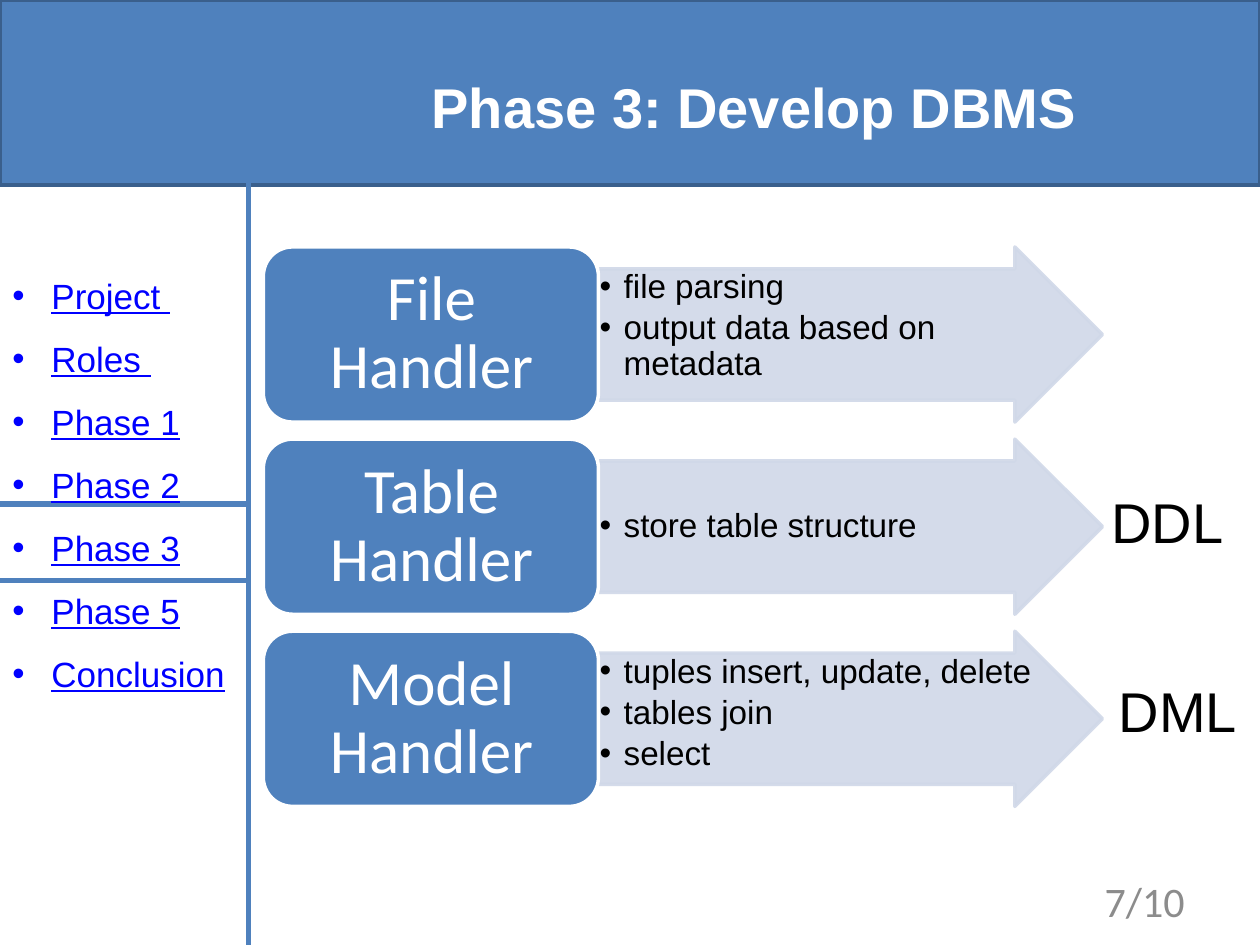
from dataclasses import dataclass

from lxml.etree import SubElement
from pptx import Presentation
from pptx.dml.color import RGBColor
from pptx.enum.shapes import MSO_CONNECTOR as Connector, MSO_SHAPE as Preset
from pptx.enum.text import MSO_ANCHOR as Anchor, PP_ALIGN as Align
from pptx.oxml.ns import qn
from pptx.util import Inches, Pt

BLUE = RGBColor(0x4F, 0x81, 0xBD)
DARK_BLUE = RGBColor(0x3A, 0x5F, 0x8C)
PALE_BLUE = RGBColor(0xD0, 0xD8, 0xE8)
LINK_BLUE = RGBColor(0x00, 0x00, 0xFF)
GRAY = RGBColor(0x8C, 0x8C, 0x8C)
BLACK = RGBColor(0, 0, 0)
WHITE = RGBColor(0xFF, 0xFF, 0xFF)

WIDTH, HEIGHT = 10, 7.5
SIDEBAR = 1.97
BANNER = 1.47
ROW_TOP, ROW_PITCH, ROW_HEIGHT = 1.96, 1.525, 1.39
BOX_LEFT, ARROW_LEFT, ARROW_WIDTH = 2.09, 4.75, 4
NORMAL_INSETS = (0.1, 0.05, 0.1, 0.05)


@dataclass(frozen=True)
class Handler:
    """One row of the diagram: a box and the points in its arrow."""
    title: str
    points: tuple[str, ...]
    anchor: Anchor = Anchor.TOP


@dataclass(frozen=True)
class Style:
    """Format of a text block."""
    font: dict
    paragraph: dict
    anchor: Anchor = Anchor.TOP
    insets: tuple[float, ...] = NORMAL_INSETS
    indent: float = 0
    wrap: bool = True


HANDLERS = (
    Handler("File Handler", ("file parsing", "output data based on metadata")),
    Handler("Table Handler", ("store table structure",), Anchor.MIDDLE),
    Handler("Model Handler",
            ("tuples insert, update, delete", "tables join", "select")),
)
AGENDA = ("Project ", "Roles ", "Phase 1", "Phase 2", "Phase 3", "Phase 5",
          "Conclusion")
LANGUAGES = (("DDL", 8.72, 3.82), ("DML", 8.78, 5.32))


def arial(size: float, color: RGBColor, **extra) -> dict:
    """Return font values for Arial text."""
    return dict(name="Arial", size=Pt(size), color=color, **extra)


def calibri(size: float, color: RGBColor) -> dict:
    """Return font values for Calibri text."""
    return dict(name="Calibri", size=Pt(size), color=color)


TITLE = Style(arial(32, WHITE, bold=True), dict(alignment=Align.CENTER),
              Anchor.MIDDLE)
PAGE = Style(calibri(24, GRAY), dict(alignment=Align.RIGHT), Anchor.MIDDLE)
MENU = Style(arial(20, LINK_BLUE, underline=True), dict(line_spacing=1.5),
             indent=0.31)
BOX = Style(calibri(36, WHITE),
            dict(alignment=Align.CENTER, line_spacing=0.9), Anchor.MIDDLE,
            (0.15, 0.07, 0.15, 0.07))
LANGUAGE = Style(arial(32, BLACK), {}, wrap=False)


def add_bullet(paragraph, indent: float) -> None:
    """Give a paragraph a hanging bullet."""
    props = paragraph._p.get_or_add_pPr()
    props.set("marL", str(Inches(indent)))
    props.set("indent", str(-Inches(indent)))
    SubElement(props, qn("a:buFont")).set("typeface", "Arial")
    SubElement(props, qn("a:buChar")).set("char", "•")


def add_text(slide, place: tuple[float, ...], lines: tuple[str, ...],
             style: Style) -> None:
    """Add a text box with one paragraph per line."""
    frame = slide.shapes.add_textbox(*map(Inches, place)).text_frame
    frame.word_wrap = style.wrap
    frame.vertical_anchor = style.anchor
    for side, inset in zip(("left", "top", "right", "bottom"), style.insets):
        setattr(frame, f"margin_{side}", Inches(inset))
    for number, line in enumerate(lines):
        paragraph = frame.add_paragraph() if number else frame.paragraphs[0]
        for key, value in style.paragraph.items():
            setattr(paragraph, key, value)
        if style.indent:
            add_bullet(paragraph, style.indent)
        run = paragraph.add_run()
        run.text = line
        for key, value in style.font.items():
            if key == "color":
                run.font.color.rgb = value
            else:
                setattr(run.font, key, value)


def add_block(slide, preset: Preset, place: tuple[float, ...],
              fill: RGBColor | None, line: RGBColor, weight: float = 2):
    """Add a preset shape without a shadow."""
    block = slide.shapes.add_shape(preset, *map(Inches, place))
    block.shadow.inherit = False
    if fill is None:
        block.fill.background()
    else:
        block.fill.solid()
        block.fill.fore_color.rgb = fill
    block.line.color.rgb = line
    block.line.width = Pt(weight)
    return block


def add_divider(slide) -> None:
    """Draw the line to the right of the sidebar."""
    divider = slide.shapes.add_connector(
        Connector.STRAIGHT, Inches(SIDEBAR), Inches(1.23),
        Inches(SIDEBAR), Inches(HEIGHT))
    divider.line.color.rgb = BLUE
    divider.line.width = Pt(3)
    SubElement(divider._element.spPr, qn("a:effectLst"))


def add_handler(slide, row: int, handler: Handler) -> None:
    """Draw a handler's arrow, points, box and title."""
    top = ROW_TOP + row * ROW_PITCH
    arrow = add_block(slide, Preset.RIGHT_ARROW,
                      (ARROW_LEFT, top, ARROW_WIDTH, ROW_HEIGHT),
                      PALE_BLUE, PALE_BLUE)
    arrow.adjustments[0] = 0.75
    for color in arrow._element.spPr.iter(qn("a:srgbClr")):
        SubElement(color, qn("a:alpha")).set("val", "90000")
    points = Style(arial(19, BLACK),
                   dict(line_spacing=0.9, space_after=Pt(3)),
                   handler.anchor, (0.01,) * 4, 0.19)
    add_text(slide, (ARROW_LEFT, top + ROW_HEIGHT / 8, 3.48,
                     ROW_HEIGHT * 0.75), handler.points, points)
    add_block(slide, Preset.ROUNDED_RECTANGLE,
              (BOX_LEFT, top, ARROW_LEFT - BOX_LEFT, ROW_HEIGHT), BLUE, WHITE)
    add_text(slide, (BOX_LEFT + 0.07, top + 0.07, 2.53, 1.25),
             (handler.title,), BOX)


def main() -> None:
    """Build and save the slide."""
    deck = Presentation()
    deck.slide_width, deck.slide_height = Inches(WIDTH), Inches(HEIGHT)
    slide = deck.slides.add_slide(deck.slide_layouts[6])
    add_block(slide, Preset.RECTANGLE, (0, 0, WIDTH, BANNER), BLUE, DARK_BLUE)
    add_text(slide, (SIDEBAR, 0.22, WIDTH - SIDEBAR, BANNER - 0.22),
             ("Phase 3: Develop DBMS",), TITLE)
    add_text(slide, (7.17, 6.95, 2.33, 0.4), ("7/10",), PAGE)
    add_divider(slide)
    add_block(slide, Preset.RECTANGLE, (-0.04, 4, SIDEBAR + 0.04, 0.61),
              None, BLUE, 3)
    add_text(slide, (0, 1.96, SIDEBAR, 3.64), AGENDA, MENU)
    for row, handler in enumerate(HANDLERS):
        add_handler(slide, row, handler)
    for language, left, top in LANGUAGES:
        add_text(slide, (left, top, 1.15, 0.64), (language,), LANGUAGE)
    deck.save("out.pptx")


main()
